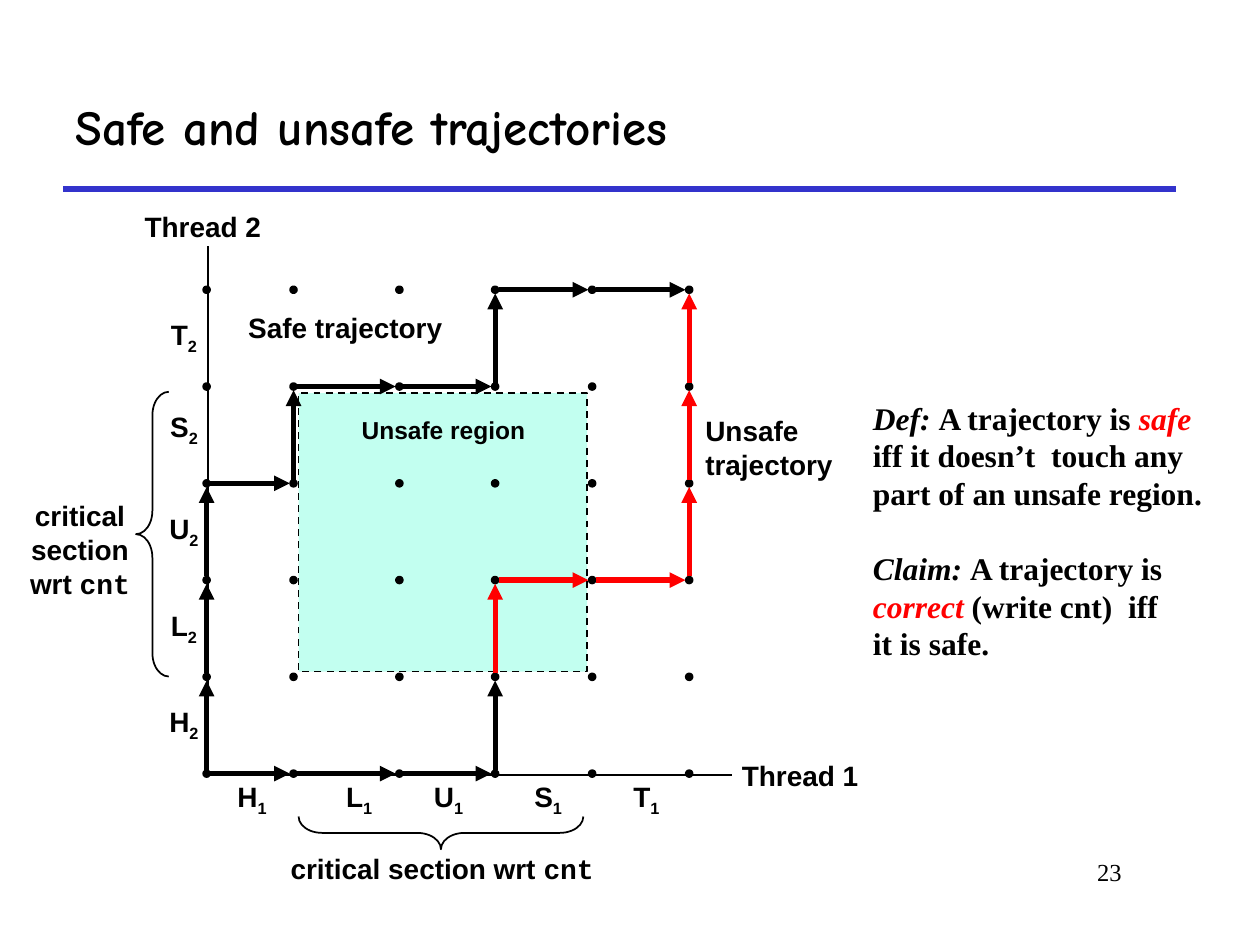
from itertools import pairwise, product
from math import hypot
from lxml.etree import SubElement
from pptx import Presentation
from pptx.dml.color import RGBColor as RGB
from pptx.enum.dml import MSO_LINE
from pptx.enum.shapes import MSO_CONNECTOR, MSO_SHAPE as SHAPE
from pptx.enum.text import MSO_ANCHOR as ANCHOR, PP_ALIGN as ALIGN
from pptx.oxml.ns import qn
from pptx.util import Inches, Pt

THEME = {
    "ink": RGB(0, 0, 0), "rule": RGB(0x33, 0x33, 0xCC),
    "unsafe": RGB(0xFF, 0, 0), "region": RGB(0xC2, 0xFF, 0xF0),
    "title": 28, "statement": 18, "label": 16, "small": 14,
    "sans": "Arial", "serif": "Times New Roman",
    "mono": "Courier New", "heading": "Comic Neue",
}
INK, RED = THEME["ink"], THEME["unsafe"]

deck = Presentation()
deck.slide_width, deck.slide_height = Inches(10), Inches(7.5)
slide = deck.slides.add_slide(deck.slide_layouts[5])
shapes = slide.shapes


def write(content, box, target=None, font=THEME["sans"], size=THEME["label"],
          bold=True, align=ALIGN.CENTER, anchor=ANCHOR.MIDDLE, wrap=False, pad=0.05):
    target = target or shapes.add_textbox(0, 0, 0, 0)
    target.left, target.top, target.width, target.height = map(Inches, box)
    frame = target.text_frame
    frame.word_wrap, frame.vertical_anchor = wrap, anchor
    frame.margin_left = frame.margin_right = Inches(0.1)
    frame.margin_top = frame.margin_bottom = Inches(pad)
    for index, pieces in enumerate(content):
        paragraph = frame.add_paragraph() if index else frame.paragraphs[0]
        paragraph.alignment = align
        for piece in pieces:
            words, style = (piece, {}) if isinstance(piece, str) else piece
            run = paragraph.add_run()
            run.text = words
            run.font.name, run.font.size = style.get("font", font), Pt(size)
            run.font.bold, run.font.italic = bold, style.get("italic", False)
            run.font.color.rgb = style.get("color", INK)
            if "baseline" in style:
                run.font._element.set("baseline", style["baseline"])
    return frame


def draw_line(start, end, color=INK, weight=1, arrow=False):
    line = shapes.add_connector(MSO_CONNECTOR.STRAIGHT, *map(Inches, (*start, *end)))
    line.line.color.rgb, line.line.width = color, Pt(weight)
    if arrow:
        SubElement(line.line._get_or_add_ln(), qn("a:tailEnd"), type="triangle")
    SubElement(line._element.spPr, qn("a:effectLst"))


write([["Safe and unsafe trajectories"]], (0.5, 0.5, 8.83, 1), target=shapes.title,
      font=THEME["heading"], size=THEME["title"], align=ALIGN.LEFT, wrap=True)
draw_line((0.5, 1.5), (9.33, 1.5), THEME["rule"], 3)
write([["23"]], (7.58, 6.75, 1.42, 0.5), font=THEME["serif"], size=THEME["small"],
      bold=False, align=ALIGN.RIGHT, anchor=ANCHOR.TOP, wrap=True)

italic, red_italic = {"italic": True}, {"italic": True, "color": RED}
statements = write([
    [("Def: ", italic), "A trajectory is ", ("safe", red_italic)],
    ["iff it doesn’t  touch any"],
    ["part of an unsafe region."],
    [("Claim: ", italic), "A trajectory is"],
    [("correct", red_italic), " (write cnt)  iff"],
    ["it is safe."],
], (6.83, 2.5, 3, 3.42), font=THEME["serif"], size=THEME["statement"], align=ALIGN.LEFT, pad=0)
statements.paragraphs[3].space_before = Pt(21)

critical = [["critical section wrt ", ("cnt", {"font": THEME["mono"]})]]
write(critical, (0.12, 3.91, 1.03, 0.9), wrap=True)
write(critical, (2.16, 6.71, 2.7, 0.37))

region = shapes.add_shape(SHAPE.RECTANGLE, *map(Inches, (2.37, 3.12, 2.29, 2.21)))
region.shadow.inherit = False
region.fill.solid()
region.fill.fore_color.rgb = THEME["region"]
region.line.color.rgb, region.line.width = INK, Pt(1)
region.line.dash_style = MSO_LINE.DASH

columns = [1.64, 2.33, 3.17, 3.93, 4.7, 5.47]
rows = [6.14 - 0.768 * step for step in range(6)]
draw_line((1.65, 6.15), (5.81, 6.15))
draw_line((1.65, 6.15), (1.65, 1.95))

for step, across, up in zip("HLUST", (2, 2.85, 3.56, 4.35, 5.13),
                            (5.74, 4.98, 4.21, 3.4, 2.67)):
    for thread, x, y in (("1", across, 6.34), ("2", 1.46, up)):
        write([[step, (thread, {"baseline": "-25000"})]], (x - 0.25, y - 0.2, 0.5, 0.4))

for x, y in product(columns, rows):
    state = shapes.add_shape(SHAPE.OVAL, *map(Inches, (x - 0.02, y - 0.02, 0.04, 0.04)))
    state.shadow.inherit = False
    state.fill.solid()
    state.fill.fore_color.rgb = state.line.color.rgb = INK
    state.line.width = Pt(2)

safe = [(0, 0), (0, 1), (0, 2), (0, 3), (1, 3), (1, 4), (2, 4), (3, 4), (3, 5), (4, 5), (5, 5)]
entry = [(0, 0), (1, 0), (2, 0), (3, 0), (3, 1)]
unsafe = [(3, 1), (3, 2), (4, 2), (5, 2), (5, 3), (5, 4), (5, 5)]
for trajectory, color in ((safe, INK), (entry, INK), (unsafe, RED)):
    for (c1, r1), (c2, r2) in pairwise(trajectory):
        x1, y1, x2, y2 = columns[c1], rows[r1], columns[c2], rows[r2]
        length = hypot(x2 - x1, y2 - y1)
        dx, dy = (x2 - x1) / length, (y2 - y1) / length
        draw_line((x1 + 0.03 * dx, y1 + 0.03 * dy), (x2 - 0.03 * dx, y2 - 0.03 * dy),
                  color, 3, arrow=True)

for left, top, turn in ((1.08, 3.11, 0), (3.37, 5.48, 270)):
    brace = shapes.add_shape(SHAPE.LEFT_BRACE, *map(Inches, (left, top, 0.26, 2.26)))
    brace.adjustments[0] = 0.72
    brace.rotation = turn
    brace.shadow.inherit = False
    brace.fill.background()
    brace.line.color.rgb, brace.line.width = INK, Pt(1)

write([["Thread 1"]], (5.74, 5.97, 1.22, 0.37))
write([["Thread 2"]], (1, 1.61, 1.22, 0.37))
write([["Safe trajectory"]], (1.82, 2.41, 1.84, 0.37))
write([["Unsafe region"]], (2.72, 3.24, 1.6, 0.34), size=THEME["small"])
write([["Unsafe"], ["trajectory"]], (5.5, 3.23, 1.3, 0.64), align=ALIGN.LEFT)

deck.save("out.pptx")
